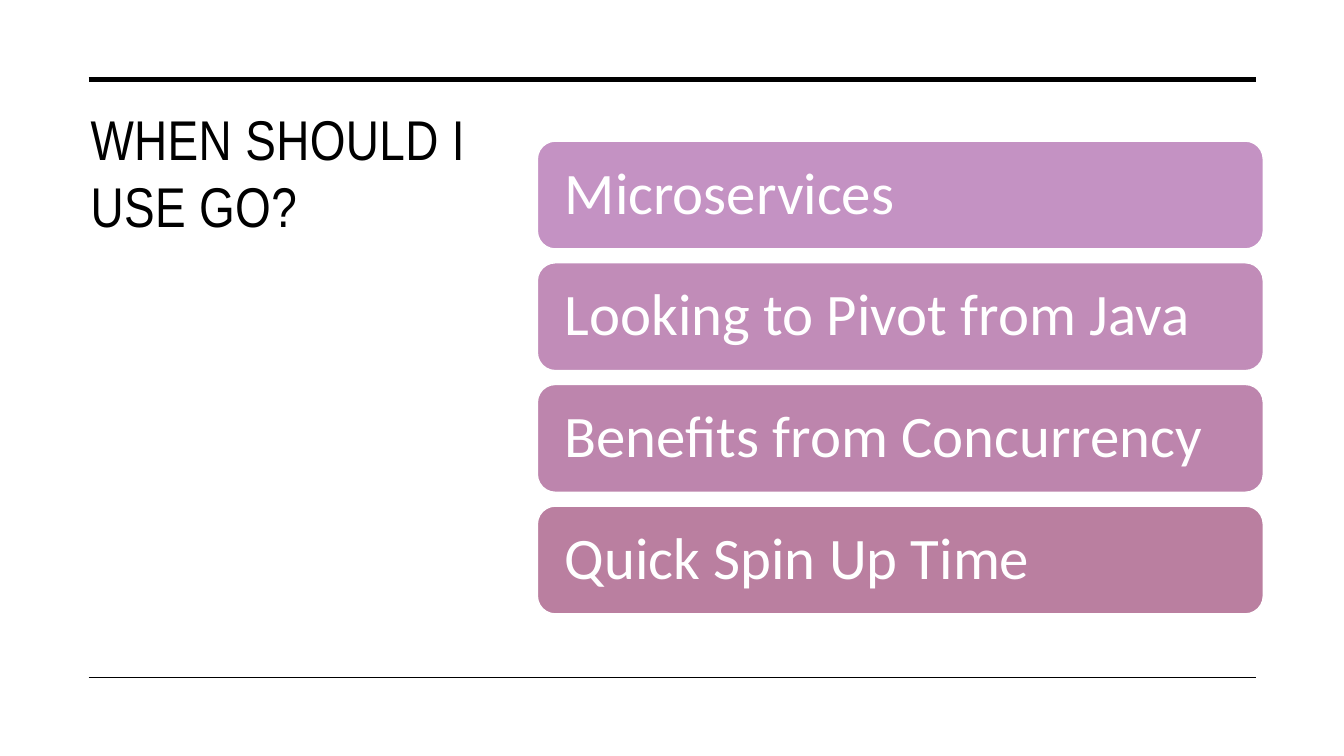
from dataclasses import dataclass

from lxml import etree
from pptx import Presentation
from pptx.dml.color import RGBColor
from pptx.enum.shapes import MSO_CONNECTOR, MSO_SHAPE
from pptx.enum.text import MSO_ANCHOR, PP_ALIGN
from pptx.oxml.ns import qn
from pptx.util import Inches, Pt

ROUND = MSO_SHAPE.ROUNDED_RECTANGLE
STRAIGHT = MSO_CONNECTOR.STRAIGHT
TOP, MIDDLE = MSO_ANCHOR.TOP, MSO_ANCHOR.MIDDLE
LEFT = PP_ALIGN.LEFT


@dataclass(frozen=True)
class Theme:
    ink: str = "000000"
    paper: str = "FFFFFF"
    head_font: str = "Arial Narrow"
    body_font: str = "Calibri"
    head_size: float = 40
    body_size: float = 42


@dataclass(frozen=True)
class Rule:
    y: float
    width: float


@dataclass(frozen=True)
class Bar:
    label: str
    fill: str


THEME = Theme()
RULES = [Rule(0.79, 3.5), Rule(6.72, 1)]
BARS = [
    Bar("Microservices", "C492C3"),
    Bar("Looking to Pivot from Java", "C18CB8"),
    Bar("Benefits from Concurrency", "BD85AD"),
    Bar("Quick Spin Up Time", "BA7FA0"),
]
BAR_TOP, BAR_STEP = 1.4, 1.207


def color(code: str) -> RGBColor:
    return RGBColor.from_string(code)


def write(shape, text: str, *, font: str, size: float, ink: str,
          anchor=TOP, inset=(0.1, 0.05), leading: float = 1.0,
          track: float = 0) -> None:
    """Set the text of a shape; track is letter spacing in points."""
    frame = shape.text_frame
    frame.word_wrap = True
    frame.vertical_anchor = anchor
    frame.margin_left = frame.margin_right = Inches(inset[0])
    frame.margin_top = frame.margin_bottom = Inches(inset[1])
    para = frame.paragraphs[0]
    para.alignment = LEFT
    para.line_spacing = leading
    run = para.add_run()
    run.text = text
    run.font.name = font
    run.font.size = Pt(size)
    run.font.color.rgb = color(ink)
    if track:
        run.font._element.set("spc", str(round(track * 100)))


def draw_rule(slide, rule: Rule) -> None:
    y = Inches(rule.y)
    line = slide.shapes.add_connector(STRAIGHT, Inches(0.88), y,
                                      Inches(12.46), y)
    line.line.color.rgb = color(THEME.ink)
    line.line.width = Pt(rule.width)
    etree.SubElement(line._element.spPr, qn("a:effectLst"))


def draw_bar(slide, bar: Bar, top: float) -> None:
    shape = slide.shapes.add_shape(ROUND, Inches(5.33), Inches(top),
                                   Inches(7.2), Inches(1.07))
    shape.shadow.inherit = False
    shape.fill.solid()
    shape.fill.fore_color.rgb = color(bar.fill)
    shape.line.color.rgb = color(THEME.paper)
    shape.line.width = Pt(1)
    write(shape, bar.label, font=THEME.body_font, size=THEME.body_size,
          ink=THEME.paper, anchor=MIDDLE, inset=(0.22, 0.17), leading=0.9)


deck = Presentation()
deck.slide_width, deck.slide_height = Inches(13.33), Inches(7.5)
slide = deck.slides.add_slide(deck.slide_layouts[6])

# Title
title = slide.shapes.add_textbox(Inches(0.8), Inches(0.99),
                                 Inches(4), Inches(4.82))
write(title, "WHEN SHOULD I USE GO?", font=THEME.head_font,
      size=THEME.head_size, ink=THEME.ink, track=0.3)

# Rules above and below
for rule in RULES:
    draw_rule(slide, rule)

# Stack of reasons
for i, bar in enumerate(BARS):
    draw_bar(slide, bar, BAR_TOP + i * BAR_STEP)

deck.save("out.pptx")
